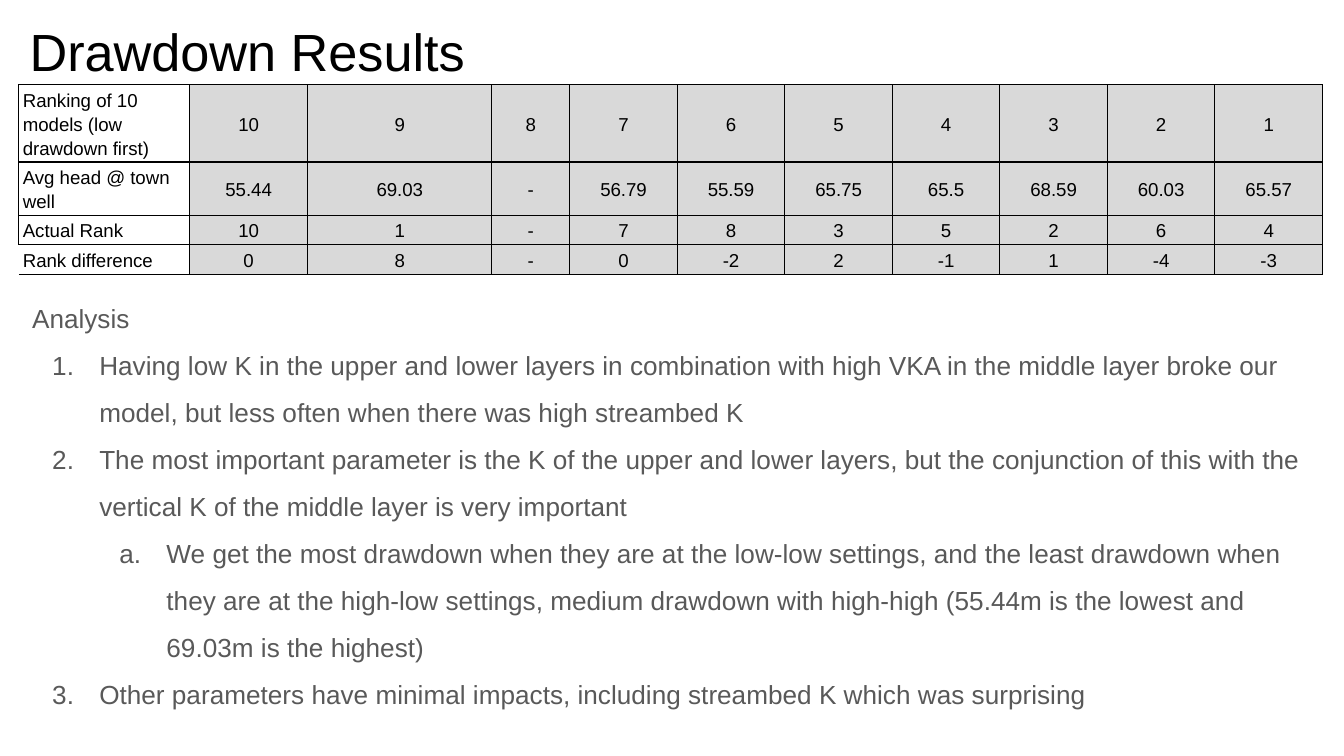
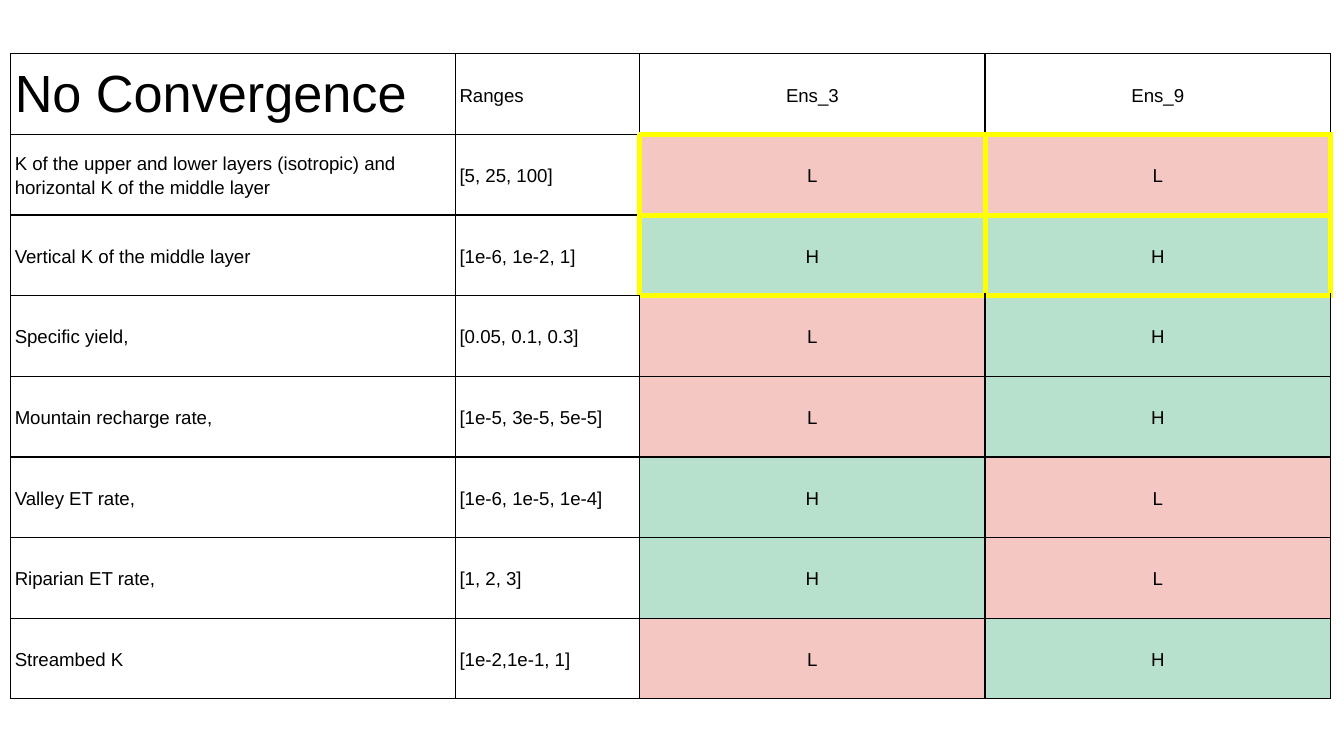
from itertools import product

from lxml.etree import SubElement
from pptx import Presentation
from pptx.dml.color import RGBColor
from pptx.enum.text import MSO_ANCHOR, MSO_AUTO_SIZE, PP_ALIGN
from pptx.oxml.ns import qn
from pptx.util import Pt

PX = 4572
FONT = "Arial"
BLACK = RGBColor(0x00, 0x00, 0x00)
WHITE = RGBColor(0xFF, 0xFF, 0xFF)
GRAY = RGBColor(0x59, 0x59, 0x59)
SILVER = RGBColor(0xD9, 0xD9, 0xD9)
YELLOW = RGBColor(0xFF, 0xFF, 0x00)
PINK = RGBColor(0xF4, 0xC7, 0xC3)
GREEN = RGBColor(0xB7, 0xE1, 0xCD)
TITLE_SIZE = 28
TITLE_ONLY, BLANK = 5, 6
NEIGHBORS = {"L": (0, -1), "R": (0, 1), "T": (-1, 0), "B": (1, 0)}
NUMBERING = ("arabicPeriod", "alphaLcPeriod")

RANKING = [
    ["Ranking of 10 models (low drawdown first)", *map(str, range(10, 0, -1))],
    ["Avg head @ town well", "55.44", "69.03", "-", "56.79", "55.59",
     "65.75", "65.5", "68.59", "60.03", "65.57"],
    ["Actual Rank", "10", "1", "-", "7", "8", "3", "5", "2", "6", "4"],
    ["Rank difference", "0", "8", "-", "0", "-2", "2", "-1", "1", "-4", "-3"],
]
ANALYSIS = [
    (0, "Having low K in the upper and lower layers in combination with high VKA "
        "in the middle layer broke our model, but less often when there was high streambed K"),
    (0, "The most important parameter is the K of the upper and lower layers, but the "
        "conjunction of this with the vertical K of the middle layer is very important"),
    (1, "We get the most drawdown when they are at the low-low settings, and the least "
        "drawdown when they are at the high-low settings, medium drawdown with high-high "
        "(55.44m is the lowest and 69.03m is the highest)"),
    (0, "Other parameters have minimal impacts, including streambed K which was surprising"),
]
CONVERGENCE = [
    ["No Convergence", "Ranges", "Ens_3", "Ens_9"],
    ["K of the upper and lower layers (isotropic) and horizontal K of the middle layer",
     "[5, 25, 100]", "L", "L"],
    ["Vertical K of the middle layer", "[1e-6, 1e-2, 1]", "H", "H"],
    ["Specific yield,", "[0.05, 0.1, 0.3]", "L", "H"],
    ["Mountain recharge rate,", "[1e-5, 3e-5, 5e-5]", "L", "H"],
    ["Valley ET rate,", "[1e-6, 1e-5, 1e-4]", "H", "L"],
    ["Riparian ET rate,", "[1, 2, 3]", "H", "L"],
    ["Streambed K", "[1e-2,1e-1, 1]", "L", "H"],
]


def write_text(para, text, size=10, color=BLACK, align=PP_ALIGN.LEFT, spacing=1.15, level=None):
    para.alignment = align
    para.line_spacing = spacing
    if level is not None:
        para.level = level
        properties = para._p.get_or_add_pPr()
        properties.set("marL", str(100 * (level + 1) * PX))
        properties.set("indent", str(-70 * PX))
        bullet_color = SubElement(properties, qn("a:buClr"))
        SubElement(bullet_color, qn("a:srgbClr"), val=str(color))
        SubElement(properties, qn("a:buAutoNum"), type=NUMBERING[level])
    span = para.add_run()
    span.text = text
    span.font.name = FONT
    span.font.size = Pt(size)
    span.font.color.rgb = color


def draw_border(cell, side, color, points):
    line = SubElement(cell._tc.get_or_add_tcPr(), qn(f"a:ln{side}"), w=str(Pt(points)))
    if color is None:
        SubElement(line, qn("a:noFill"))
    else:
        SubElement(SubElement(line, qn("a:solidFill")), qn("a:srgbClr"), val=str(color))


class SlideBuilder:
    def __init__(self, deck):
        self.deck = deck
        self.page = None

    def new_page(self, layout):
        self.page = self.deck.slides.add_slide(self.deck.slide_layouts[layout])
        self.page.background.fill.solid()
        self.page.background.fill.fore_color.rgb = WHITE

    def set_frame(self, box, top_inset=20):
        frame = box.text_frame
        frame.word_wrap = True
        frame.auto_size = MSO_AUTO_SIZE.NONE
        frame.vertical_anchor = MSO_ANCHOR.TOP
        frame.margin_left = frame.margin_right = frame.margin_bottom = 20 * PX
        frame.margin_top = top_inset * PX
        return frame

    def title(self, text, left, top, width, height):
        box = self.page.shapes.title
        box.left, box.top, box.width, box.height = (n * PX for n in (left, top, width, height))
        frame = self.set_frame(box, top_inset=28)
        write_text(frame.paragraphs[0], text, size=TITLE_SIZE, spacing=1.0)

    def numbered_text(self, heading, items, left, top, width, height):
        box = self.page.shapes.add_textbox(*(n * PX for n in (left, top, width, height)))
        frame = self.set_frame(box)
        write_text(frame.paragraphs[0], heading, size=14, color=GRAY, spacing=1.5)
        for level, text in items:
            write_text(frame.add_paragraph(), text, size=14, color=GRAY, spacing=1.5, level=level)

    def table(self, rows, left, top, widths, heights, fill_of, text_columns,
              highlighted=(), open_sides=(), title_cell=None):
        bounds = (left, top, sum(widths), sum(heights))
        table = self.page.shapes.add_table(
            len(rows), len(widths), *(n * PX for n in bounds)).table
        table.first_row = table.horz_banding = False
        for column, width in zip(table.columns, widths):
            column.width = width * PX
        for row, height in zip(table.rows, heights):
            row.height = height * PX
        for r, c in product(range(len(rows)), range(len(widths))):
            cell = table.cell(r, c)
            cell.vertical_anchor = MSO_ANCHOR.MIDDLE
            cell.margin_left = cell.margin_right = 6 * PX
            cell.margin_top = cell.margin_bottom = 4 * PX
            for side, (down, across) in NEIGHBORS.items():
                if (r, c, side) in open_sides:
                    draw_border(cell, side, None, 0.75)
                elif (r, c) in highlighted or (r + down, c + across) in highlighted:
                    draw_border(cell, side, YELLOW, 3)
                else:
                    draw_border(cell, side, BLACK, 0.75)
            fill = fill_of(r, c)
            if fill is None:
                cell.fill.background()
            else:
                cell.fill.solid()
                cell.fill.fore_color.rgb = fill
            is_title = (r, c) == title_cell
            write_text(
                cell.text_frame.paragraphs[0], rows[r][c],
                size=TITLE_SIZE if is_title else 10,
                spacing=1.0 if is_title else 1.15,
                align=PP_ALIGN.LEFT if c < text_columns else PP_ALIGN.CENTER)


def ranking_fill(row, column):
    if column:
        return SILVER
    return WHITE if row < len(RANKING) - 1 else None


def level_fill(row, column):
    return {"L": PINK, "H": GREEN}.get(CONVERGENCE[row][column])


def main():
    deck = Presentation()
    deck.slide_width, deck.slide_height = 2000 * PX, 1125 * PX
    builder = SlideBuilder(deck)

    builder.new_page(TITLE_ONLY)
    builder.title("Drawdown Results", 24, 0, 1864, 126)
    builder.table(
        RANKING, 28, 126, [254, 176, 274, 116] + [160] * 7, [72, 44, 44, 44],
        ranking_fill, text_columns=1, open_sides={(3, 0, "L")})
    builder.numbered_text("Analysis", ANALYSIS, 28, 406, 1942, 718)

    builder.new_page(BLANK)
    builder.table(
        CONVERGENCE, 16, 80, [662, 274, 514, 514], [120] * len(CONVERGENCE),
        level_fill, text_columns=2, highlighted=set(product((1, 2), (2, 3))),
        title_cell=(0, 0))

    deck.save("out.pptx")


if __name__ == "__main__":
    main()
